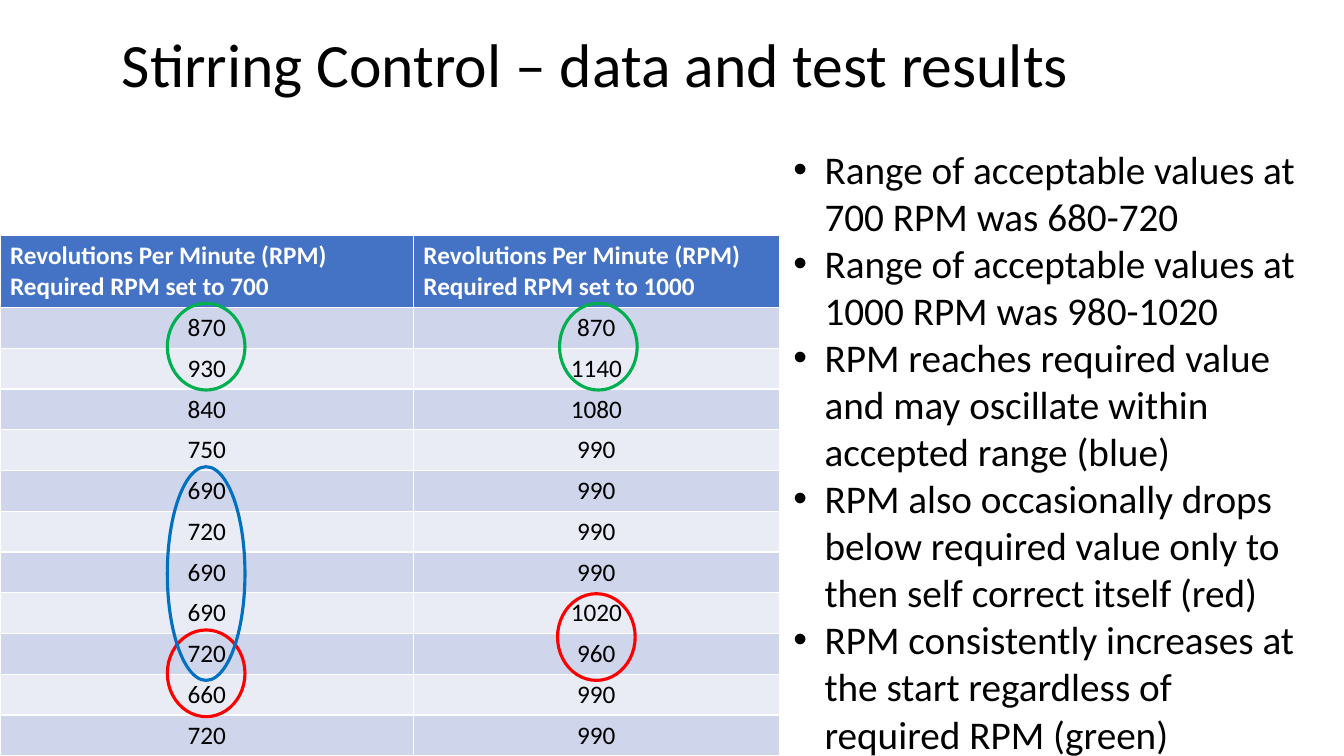
"""Build the stirring control slide with two RPM tables and the findings."""
import pptx
import pptx.util
import pptx.dml.color
import pptx.enum.shapes
import pptx.enum.text
import pptx.oxml
import pptx.oxml.ns

Inches, Pt = pptx.util.Inches, pptx.util.Pt
COLORS = {
    "text": "000000", "white": "FFFFFF", "header": "4472C4",
    "band_dark": "CFD5EA", "band_light": "E9EBF5",
    "green": "00B050", "red": "FF0000", "blue": "0070C0",
}


def rgb(name):
    return pptx.dml.color.RGBColor.from_string(COLORS[name])


def add_run(p, text, size, color="text", bold=False):
    r = p.add_run()
    r.text = text
    r.font.name = "Calibri"
    r.font.size = Pt(size)
    r.font.bold = bold
    r.font.color.rgb = rgb(color)


prs = pptx.Presentation()
prs.slide_width, prs.slide_height = Inches(13.33), Inches(7.5)
slide = prs.slides.add_slide(prs.slide_layouts[6])

sp = slide.shapes.add_textbox(Inches(1.11), Inches(-0.06), Inches(11.5), Inches(1.45))
tf = sp.text_frame
tf.word_wrap = True
tf.vertical_anchor = pptx.enum.text.MSO_ANCHOR.MIDDLE
tf.paragraphs[0].line_spacing = 0.9
add_run(tf.paragraphs[0], "Stirring Control – data and test results", 44)

tables = [
    (0, 4.1, 700, [870, 930, 840, 750, 690, 720, 690, 690, 720, 660, 720]),
    (4.1, 3.63, 1000, [870, 1140, 1080, 990, 990, 990, 990, 1020, 960, 990, 990]),
]
for left, width, target, readings in tables:
    table = slide.shapes.add_table(
        len(readings) + 1, 1, Inches(left), Inches(2.34), Inches(width), Inches(5.16)
    ).table
    header = table.cell(0, 0)
    table.rows[0].height = Inches(0.71)
    header.fill.solid()
    header.fill.fore_color.rgb = rgb("header")
    tf = header.text_frame
    add_run(tf.paragraphs[0], "Revolutions Per Minute (RPM)", 18, "white", True)
    add_run(tf.add_paragraph(), f"Required RPM set to {target}", 18, "white", True)
    for i, reading in enumerate(readings, 1):
        table.rows[i].height = Inches(4.45 / len(readings))
        cell = table.cell(i, 0)
        cell.fill.solid()
        cell.fill.fore_color.rgb = rgb("band_dark" if i % 2 else "band_light")
        p = cell.text_frame.paragraphs[0]
        p.alignment = pptx.enum.text.PP_ALIGN.CENTER
        add_run(p, str(reading), 18)

findings = [
    "Range of acceptable values at 700 RPM was 680-720",
    "Range of acceptable values at 1000 RPM was 980-1020",
    "RPM reaches required value and may oscillate within accepted range (blue)",
    "RPM also occasionally drops below required value only to then self correct itself (red)",
    "RPM consistently increases at the start regardless of required RPM (green)",
]
sp = slide.shapes.add_textbox(Inches(7.77), Inches(1.39), Inches(5.22), Inches(6.23))
tf = sp.text_frame
tf.word_wrap = True
tf.auto_size = pptx.enum.text.MSO_AUTO_SIZE.SHAPE_TO_FIT_TEXT
for i, finding in enumerate(findings):
    p = tf.add_paragraph() if i else tf.paragraphs[0]
    pPr = p._p.get_or_add_pPr()
    pPr.set("marL", str(Inches(0.31)))
    pPr.set("indent", str(-Inches(0.31)))
    ns = pptx.oxml.ns.nsdecls("a")
    pPr.append(pptx.oxml.parse_xml(f'<a:buFont {ns} typeface="Arial"/>'))
    pPr.append(pptx.oxml.parse_xml(f'<a:buChar {ns} char="•"/>'))
    add_run(p, finding, 28)

rings = [
    (1.66, 3.01, 0.86, "green"),
    (5.55, 3.01, 0.86, "green"),
    (5.53, 5.89, 0.86, "red"),
    (1.66, 6.25, 0.86, "red"),
    (1.66, 4.63, 2.12, "blue"),
]
for left, top, height, color in rings:
    sp = slide.shapes.add_shape(
        pptx.enum.shapes.MSO_SHAPE.OVAL,
        Inches(left), Inches(top), Inches(0.77), Inches(height),
    )
    sp.shadow.inherit = False
    sp.fill.background()
    sp.line.color.rgb = rgb(color)
    sp.line.width = Pt(2.25)

prs.save("out.pptx")
